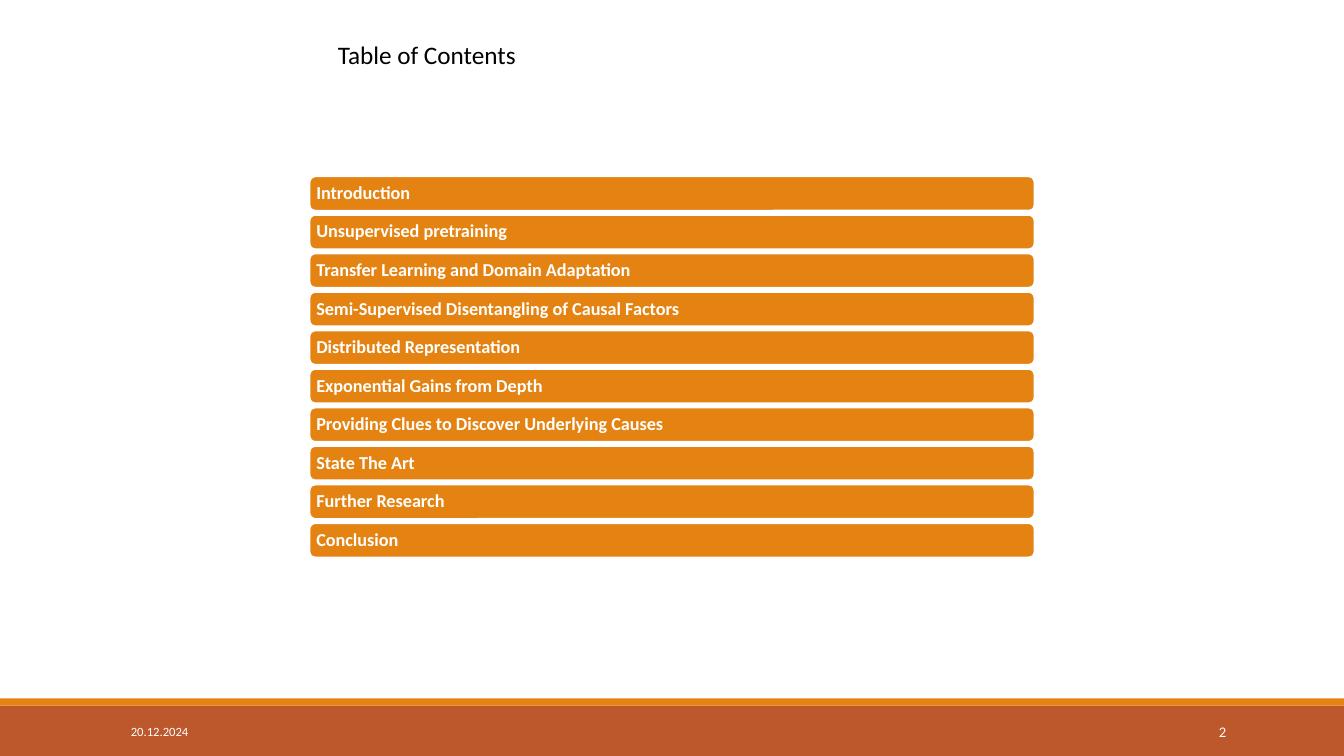
from pptx import Presentation
from pptx.dml.color import RGBColor
from pptx.enum import shapes, text
from pptx.util import Inches, Pt

ORANGE, RUST, WHITE, BLACK = "E48312", "BD582C", "FFFFFF", "000000"
TOPICS = [
    "Introduction",
    "Unsupervised pretraining",
    "Transfer Learning and Domain Adaptation",
    "Semi-Supervised Disentangling of Causal Factors",
    "Distributed Representation",
    "Exponential Gains from Depth",
    "Providing Clues to Discover Underlying Causes",
    "State The Art",
    "Further Research",
    "Conclusion",
]


def add_bar(kind, x, y, w, h, color):
    sp = s.shapes.add_shape(kind, Inches(x), Inches(y), Inches(w), Inches(h))
    sp.shadow.inherit = False
    sp.fill.solid()
    sp.fill.fore_color.rgb = RGBColor.from_string(color)
    sp.line.fill.background()
    return sp


def write(sp, words, size, color, align=text.PP_ALIGN.LEFT, bold=False):
    p = sp.text_frame.paragraphs[0]
    p.alignment = align
    r = p.add_run()
    r.text = words
    r.font.name = "Calibri"
    r.font.size = Pt(size)
    r.font.bold = bold
    r.font.color.rgb = RGBColor.from_string(color)
    return p


prs = Presentation()
prs.slide_width, prs.slide_height = Inches(13.33), Inches(7.5)
s = prs.slides.add_slide(prs.slide_layouts[5])

add_bar(shapes.MSO_SHAPE.RECTANGLE, 0, 7, 13.33, 0.5, RUST)
add_bar(shapes.MSO_SHAPE.RECTANGLE, 0, 6.93, 13.33, 0.07, ORANGE)

for x, w, words, size, align in [
    (1.2, 2.7, "20.12.2024", 9, text.PP_ALIGN.LEFT),
    (10.83, 1.43, "2", 10.5, text.PP_ALIGN.RIGHT),
]:
    footer = s.shapes.add_textbox(Inches(x), Inches(7.06), Inches(w), Inches(0.4))
    footer.text_frame.word_wrap = True
    footer.text_frame.vertical_anchor = text.MSO_ANCHOR.MIDDLE
    write(footer, words, size, WHITE, align)

title = s.shapes.title
title.left, title.top = Inches(3.25), Inches(0.34)
title.width, title.height = Inches(1.99), Inches(0.71)
tf = title.text_frame
tf.auto_size = text.MSO_AUTO_SIZE.NONE
tf.word_wrap = False
tf.vertical_anchor = text.MSO_ANCHOR.TOP
write(title, "Table of Contents", 18, BLACK)

step = (5.19 - 1.75) / (len(TOPICS) - 1)
for i, topic in enumerate(TOPICS):
    sp = add_bar(shapes.MSO_SHAPE.ROUNDED_RECTANGLE, 3.07, 1.75 + i * step, 7.19, 0.34, ORANGE)
    sp.line.color.rgb = RGBColor.from_string(WHITE)
    sp.line.width = Pt(1.25)
    tf = sp.text_frame
    tf.word_wrap = True
    tf.vertical_anchor = text.MSO_ANCHOR.MIDDLE
    tf.margin_left = tf.margin_right = tf.margin_top = tf.margin_bottom = Inches(0.05)
    p = write(sp, topic, 13, WHITE, bold=True)
    p.line_spacing = 0.9

prs.save("out.pptx")
